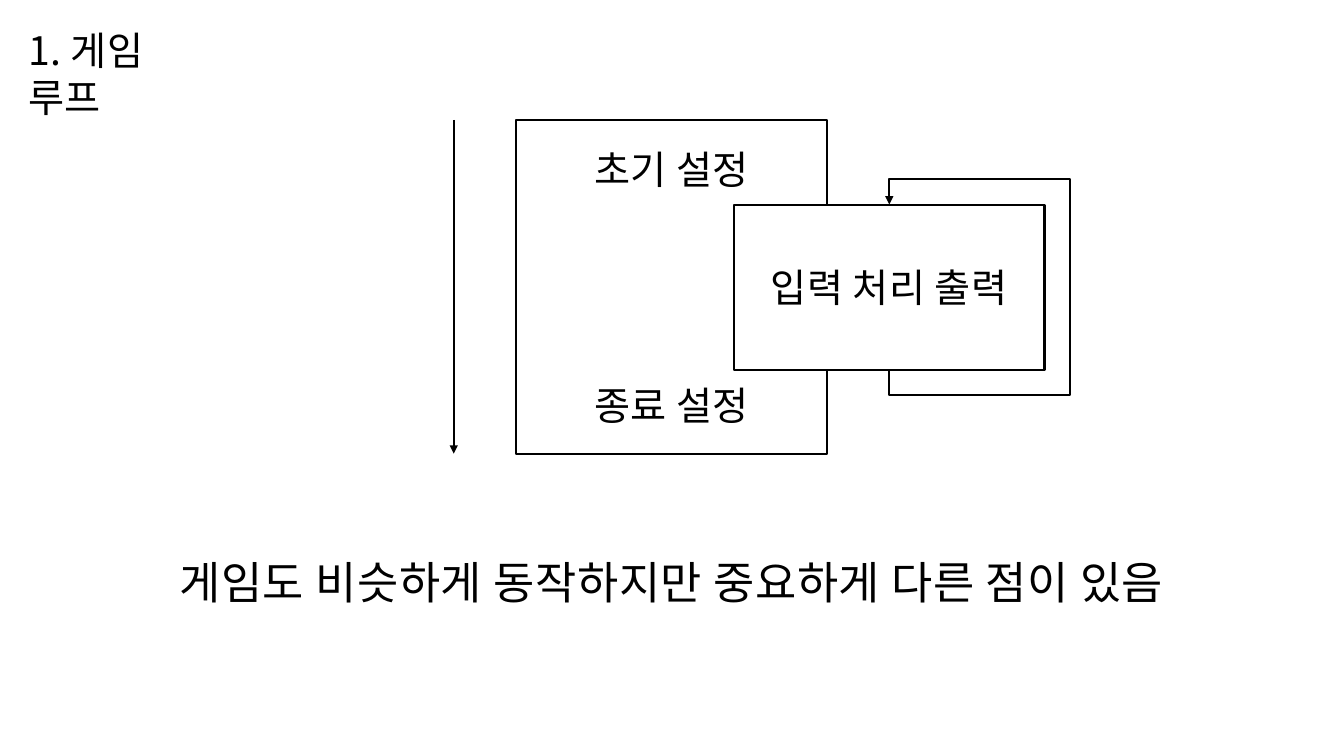
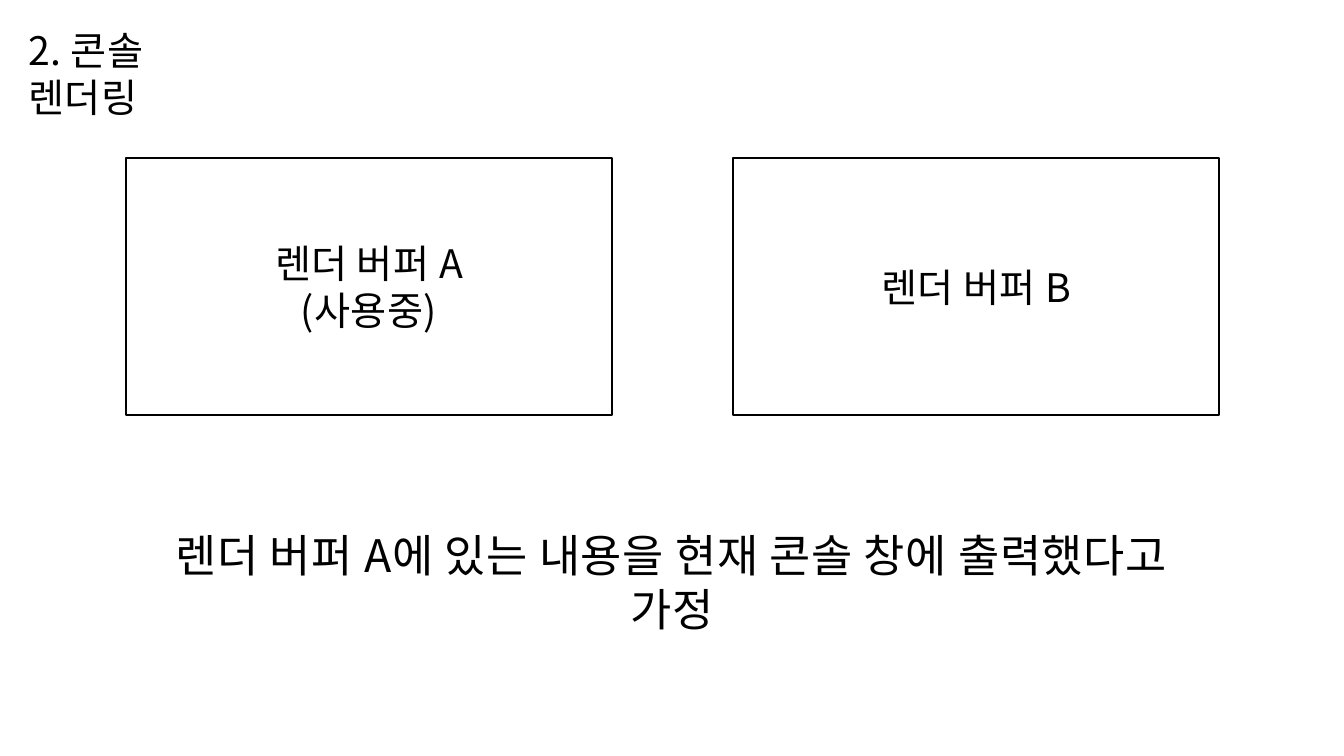
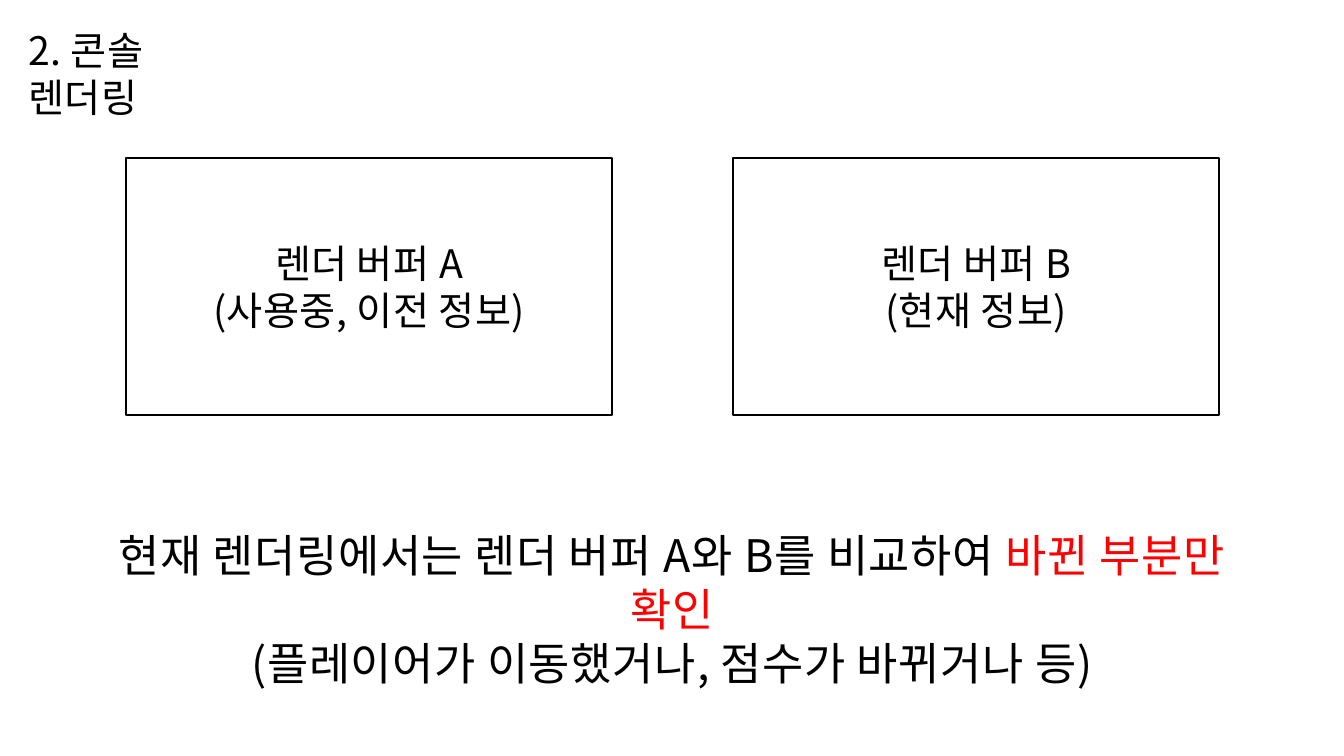
from dataclasses import dataclass

from lxml import etree
from pptx import Presentation
from pptx.dml.color import RGBColor
from pptx.enum.shapes import MSO_CONNECTOR, MSO_SHAPE
from pptx.enum.text import MSO_ANCHOR, MSO_AUTO_SIZE, PP_ALIGN
from pptx.oxml.ns import qn
from pptx.util import Inches, Pt

STRAIGHT = MSO_CONNECTOR.STRAIGHT
RECTANGLE = MSO_SHAPE.RECTANGLE
TOP, MIDDLE = MSO_ANCHOR.TOP, MSO_ANCHOR.MIDDLE
LEFT, CENTER = PP_ALIGN.LEFT, PP_ALIGN.CENTER
NO_AUTOFIT = MSO_AUTO_SIZE.NONE


@dataclass(frozen=True)
class Theme:
    font: str = "Noto Sans CJK KR"
    ink: RGBColor = RGBColor(0, 0, 0)
    paper: RGBColor = RGBColor(255, 255, 255)
    accent: RGBColor = RGBColor(255, 0, 0)
    body_size: int = 28
    caption_size: int = 32
    body_tracking: float = 0.3
    caption_tracking: float = 0.45
    line_width: float = 1.5
    line_pitch: float = 1.2


THEME = Theme()
TRACKING = {
    THEME.body_size: THEME.body_tracking,
    THEME.caption_size: THEME.caption_tracking,
}
PAGE_WIDTH, PAGE_HEIGHT = 13.33, 7.5
TITLE_LEFT, TITLE_TOP, TITLE_HEIGHT = 0.18, 0.21, 0.57

LOOP = {
    "title": ("1. 게임 루프", 2.08),
    "caption": (5.45, 10.2, [["게임도 비슷하게 동작하지만 중요하게 다른 점이 있음"]]),
    "program": ["초기 설정", "종료 설정"],
    "cycle": ["입력 처리 출력"],
}
PROGRAM_BOX = (5.12, 1.19, 3.08, 3.31)
CYCLE_BOX = (7.28, 2.03, 3.08, 1.64)
PROGRAM_GAP_LINES = 4
FLOW_OFFSET = 0.62
LOOP_MARGIN = 0.25

RENDER_TITLE = ("2. 콘솔 렌더링", 2.42)
RENDERING = [
    {
        "title": RENDER_TITLE,
        "caption": (5.19, 10.8, [["렌더 버퍼 A에 있는 내용을 현재 콘솔 창에 출력했다고 가정"]]),
        "buffers": [["렌더 버퍼 A", "(사용중)"], ["렌더 버퍼 B"]],
    },
    {
        "title": RENDER_TITLE,
        "caption": (5.19, 11.98, [
            ["현재 렌더링에서는 렌더 버퍼 A와 B를 비교하여 ", "바뀐 부분만 확인"],
            ["(플레이어가 이동했거나, 점수가 바뀌거나 등)"],
        ]),
        "buffers": [["렌더 버퍼 A", "(사용중, 이전 정보)"], ["렌더 버퍼 B", "(현재 정보)"]],
    },
]
BUFFER_LEFT, BUFFER_TOP, BUFFER_WIDTH, BUFFER_HEIGHT = 1.25, 1.57, 4.82, 2.55
BUFFER_GAP = 1.2


def write_text(frame, lines, size, align, anchor):
    frame.word_wrap = True
    frame.auto_size = NO_AUTOFIT
    frame.vertical_anchor = anchor
    frame.margin_left = frame.margin_right = Inches(0.1)
    frame.margin_top = frame.margin_bottom = Inches(0.05)
    for row, spans in enumerate(lines):
        para = frame.add_paragraph() if row else frame.paragraphs[0]
        para.alignment = align
        para.line_spacing = Pt(size * THEME.line_pitch)
        for position, words in enumerate(spans):
            span = para.add_run()
            span.text = words
            span.font.name = THEME.font
            span.font.size = Pt(size)
            span.font.color.rgb = THEME.accent if position else THEME.ink
            properties = span.font._element
            properties.set("spc", str(round(TRACKING[size] * 100)))
            etree.SubElement(properties, qn("a:ea")).set("typeface", THEME.font)


def start_page(deck, content):
    page = deck.slides.add_slide(deck.slide_layouts[5])
    words, width = content["title"]
    title = page.shapes.title
    title.left, title.top = Inches(TITLE_LEFT), Inches(TITLE_TOP)
    title.width, title.height = Inches(width), Inches(TITLE_HEIGHT)
    write_text(title.text_frame, [[words]], THEME.body_size, LEFT, TOP)

    top, width, lines = content["caption"]
    height = len(lines) * THEME.caption_size * THEME.line_pitch / 72 + 0.1
    caption = page.shapes.add_textbox(
        Inches((PAGE_WIDTH - width) / 2), Inches(top), Inches(width), Inches(height))
    write_text(caption.text_frame, lines, THEME.caption_size, CENTER, TOP)
    return page


def style_line(line):
    line.color.rgb = THEME.ink
    line.width = Pt(THEME.line_width)


def add_box(page, place, lines):
    box = page.shapes.add_shape(RECTANGLE, *map(Inches, place))
    box.shadow.inherit = False
    box.fill.solid()
    box.fill.fore_color.rgb = THEME.paper
    style_line(box.line)
    write_text(box.text_frame, [[words] for words in lines], THEME.body_size, CENTER, MIDDLE)
    return box


def add_arrowhead(line):
    etree.SubElement(line._get_or_add_ln(), qn("a:tailEnd")).set("type", "triangle")


def add_flow_arrow(page, x, top, bottom):
    arrow = page.shapes.add_connector(STRAIGHT, Inches(x), Inches(top), Inches(x), Inches(bottom))
    style_line(arrow.line)
    add_arrowhead(arrow.line)
    etree.SubElement(arrow._element.spPr, qn("a:effectLst"))


def add_loop_arrow(page, place):
    left, top, width, height = place
    middle, bottom = left + width / 2, top + height
    outer = left + width + LOOP_MARGIN
    route = [
        (middle, bottom),
        (middle, bottom + LOOP_MARGIN),
        (outer, bottom + LOOP_MARGIN),
        (outer, top - LOOP_MARGIN),
        (middle, top - LOOP_MARGIN),
        (middle, top),
    ]
    points = [(Inches(x), Inches(y)) for x, y in route]
    builder = page.shapes.build_freeform(*points[0])
    builder.add_line_segments(points[1:], close=False)
    arrow = builder.convert_to_shape()
    arrow.fill.background()
    style_line(arrow.line)
    add_arrowhead(arrow.line)
    arrow.shadow.inherit = False


def build_loop(deck):
    page = start_page(deck, LOOP)
    left, top, _, height = PROGRAM_BOX
    program = add_box(page, PROGRAM_BOX, LOOP["program"])
    gap = PROGRAM_GAP_LINES * THEME.body_size * THEME.line_pitch
    program.text_frame.paragraphs[-1].space_before = Pt(gap)
    add_flow_arrow(page, left - FLOW_OFFSET, top, top + height)
    add_box(page, CYCLE_BOX, LOOP["cycle"])
    add_loop_arrow(page, CYCLE_BOX)


def build_rendering(deck, content):
    page = start_page(deck, content)
    for column, lines in enumerate(content["buffers"]):
        left = BUFFER_LEFT + column * (BUFFER_WIDTH + BUFFER_GAP)
        add_box(page, (left, BUFFER_TOP, BUFFER_WIDTH, BUFFER_HEIGHT), lines)


def main():
    deck = Presentation()
    deck.slide_width, deck.slide_height = Inches(PAGE_WIDTH), Inches(PAGE_HEIGHT)
    build_loop(deck)
    for content in RENDERING:
        build_rendering(deck, content)
    deck.save("out.pptx")


if __name__ == "__main__":
    main()
